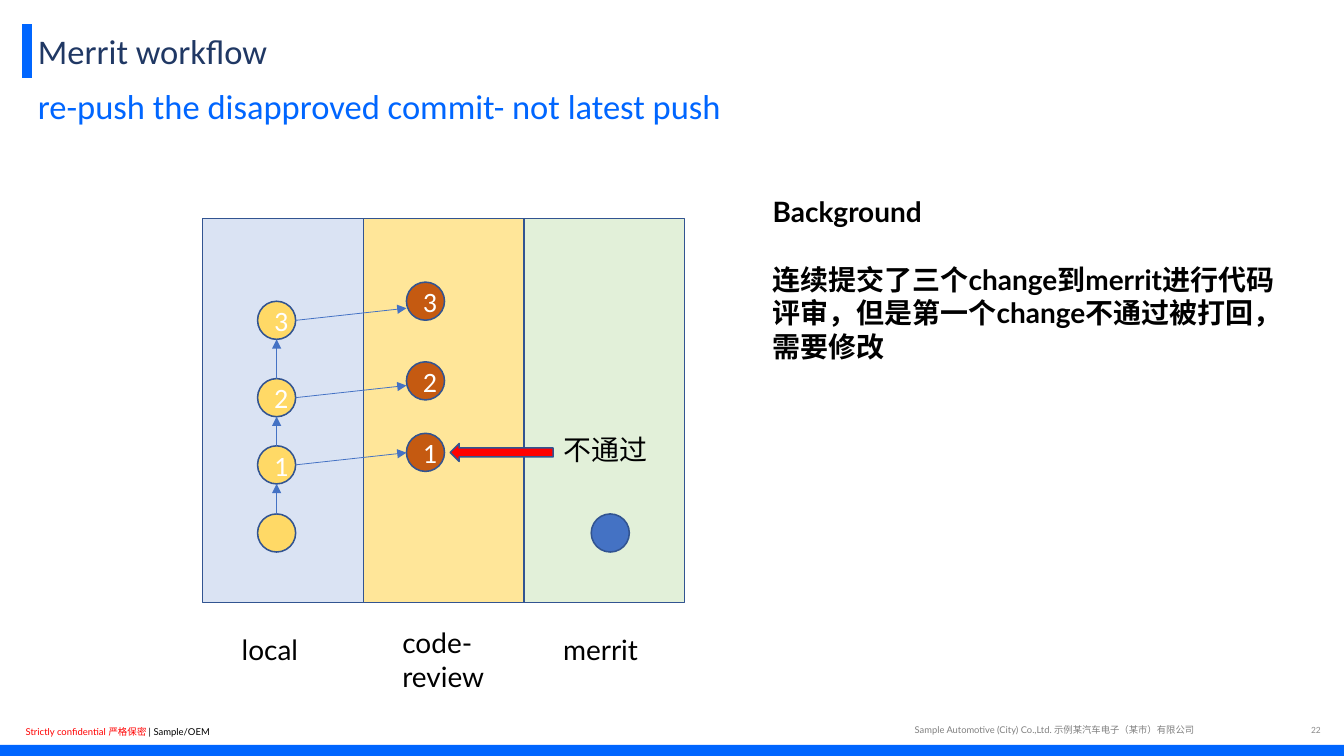
from lxml import etree
from pptx import Presentation
from pptx.dml.color import RGBColor
from pptx.enum.shapes import MSO_CONNECTOR, MSO_SHAPE
from pptx.enum.text import MSO_ANCHOR, PP_ALIGN
from pptx.oxml.ns import qn
from pptx.util import Pt

RECT, OVAL, ARROW = MSO_SHAPE.RECTANGLE, MSO_SHAPE.OVAL, MSO_SHAPE.RIGHT_ARROW
STRAIGHT = MSO_CONNECTOR.STRAIGHT
TOP, MIDDLE = MSO_ANCHOR.TOP, MSO_ANCHOR.MIDDLE
LEFT, CENTER, RIGHT = PP_ALIGN.LEFT, PP_ALIGN.CENTER, PP_ALIGN.RIGHT

COLORS = {
    "brand": "0066FF", "title": "203864", "outline": "325491", "link": "4472C4",
    "local": "DAE3F3", "review": "FFE699", "server": "E2F0D9",
    "local_commit": "FFD966", "review_commit": "C55A11", "server_commit": "4472C4",
    "rejected": "FF0000", "black": "000000", "white": "FFFFFF",
    "company": "808080", "page": "8C8C8C",
}
NODE = 24.5  # commit diameter


def rgb(name):
    return RGBColor.from_string(COLORS[name])


def style(paragraph, size, color, font="Lato", bold=False):
    paragraph.font.size = Pt(size)
    paragraph.font.name = font
    paragraph.font.bold = bold
    paragraph.font.color.rgb = rgb(color)


def add_text(slide, box, text, size, color, font="Lato", anchor=TOP, align=LEFT):
    frame = slide.shapes.add_textbox(*map(Pt, box)).text_frame
    frame.word_wrap = True
    frame.vertical_anchor = anchor
    paragraph = frame.paragraphs[0]
    paragraph.text = text
    paragraph.alignment = align
    style(paragraph, size, color, font)
    return frame


def add_block(slide, kind, box, fill, outline="outline"):
    block = slide.shapes.add_shape(kind, *map(Pt, box))
    block.shadow.inherit = False
    block.fill.solid()
    block.fill.fore_color.rgb = rgb(fill)
    if outline:
        block.line.color.rgb = rgb(outline)
        block.line.width = Pt(1)
    else:
        block.line.fill.background()
    return block


def add_line(slide, start, end, color, width, arrow=False):
    line = slide.shapes.add_connector(STRAIGHT, *map(Pt, (*start, *end)))
    line.line.color.rgb = rgb(color)
    line.line.width = Pt(width)
    properties = line._element.spPr
    if arrow:
        etree.SubElement(properties.find(qn("a:ln")), qn("a:tailEnd"), type="triangle")
    etree.SubElement(properties, qn("a:effectLst"))


def add_commit(slide, x, y, fill, number=None):
    commit = add_block(slide, OVAL, (x, y, NODE, NODE), fill)
    if number:
        frame = commit.text_frame
        frame.vertical_anchor = MIDDLE
        paragraph = frame.paragraphs[0]
        paragraph.text = str(number)
        paragraph.alignment = CENTER
        style(paragraph, 18, "white", "Calibri")


def add_header(slide, left, top, width, height):
    add_line(slide, (left, top + 0.5), (left, top + height), "brand", 6)
    add_text(slide, (left, top, 691, height), "Merrit workflow", 22.2, "title",
             "Calibri", MIDDLE)
    add_text(slide, (left, top + 35.3, width, height),
             "re-push the disapproved commit- not latest push", 22.2, "brand",
             "Calibri", MIDDLE)


def add_footer(slide, left, top, width, height):
    add_block(slide, RECT, (left, top + height - 7.2, width, 7.2), "brand", None)
    notice = add_text(slide, (left + 9.4, top + 0.7, 190, 14.4),
                      "Strictly confidential 严格保密 ", 6.1, "black").paragraphs[0]
    notice.runs[0].font.color.rgb = rgb("rejected")
    notice.add_run().text = "| Sample/OEM"
    add_text(slide, (left + 581, top, 266.4, 14.4),
             "Sample Automotive (City) Co.,Ltd. 示例某汽车电子（某市）有限公司", 6, "company")
    add_text(slide, (left + 815.8, top + 2.2, 40.3, 10), "22", 6.1, "page",
             "Calibri", MIDDLE, RIGHT)


def add_workflow(slide, left, top, width, height):
    # Lanes with their captions
    lane = width / 3
    lanes = [("local", "local", 16), ("review", "code-review", 11.5),
             ("server", "merrit", 16)]
    for i, (fill, caption, gap) in reversed(list(enumerate(lanes))):
        x = left + i * lane
        add_block(slide, RECT, (x, top, lane, height), fill)
        add_text(slide, (x + 18, top + height + gap, lane, 28.8), caption, 18, "black")

    # Base commit, local and on the server
    local_x, review_x, server_x = left + 35.3, left + 131, left + 249.8
    base_y = top + 190
    add_commit(slide, local_x, base_y, "local_commit")
    add_commit(slide, server_x, base_y, "server_commit")

    # Three commits, each linked to its parent and its review
    parent_y = base_y
    for number, (local, review) in enumerate([(146.2, 138.2), (103, 92.2), (53.3, 41)], 1):
        y = top + local
        add_commit(slide, local_x, y, "local_commit", number)
        add_commit(slide, review_x, top + review, "review_commit", number)
        center_x, center_y = local_x + NODE / 2, y + NODE / 2
        add_line(slide, (center_x, parent_y), (center_x, y + NODE), "link", 0.5, True)
        add_line(slide, (local_x + NODE, center_y), (review_x, center_y - 7.8),
                 "link", 0.5, True)
        parent_y = y

    # Rejection of the first commit
    rejection = add_block(slide, ARROW, (left + 159.1, top + 144.7, 66.2, 11.5), "rejected")
    rejection.rotation = 180
    add_text(slide, (left + 224.7, top + 134, 84.2, 28.8), "不通过", 18, "black")


def add_background(slide, left, top, width, height):
    frame = add_text(slide, (left, top, width, height), "Background", 18, "black")
    frame.paragraphs[0].font.bold = True
    frame.paragraphs[0].space_after = Pt(21.6)
    story = frame.add_paragraph()
    story.text = "连续提交了三个change到merrit进行代码评审，但是第一个change不通过被打回，需要修改"
    style(story, 18, "black", bold=True)


def main():
    deck = Presentation()
    deck.slide_width, deck.slide_height = Pt(864), Pt(486)
    slide = deck.slides.add_slide(deck.slide_layouts[6])
    add_footer(slide, 0, 462.2, 864, 23.8)
    add_header(slide, 17.3, 15.1, 829.4, 34.9)
    add_workflow(slide, 130.3, 140.4, 309.9, 247)
    add_background(slide, 489.6, 121.7, 342, 116.6)
    deck.save("out.pptx")


if __name__ == "__main__":
    main()
